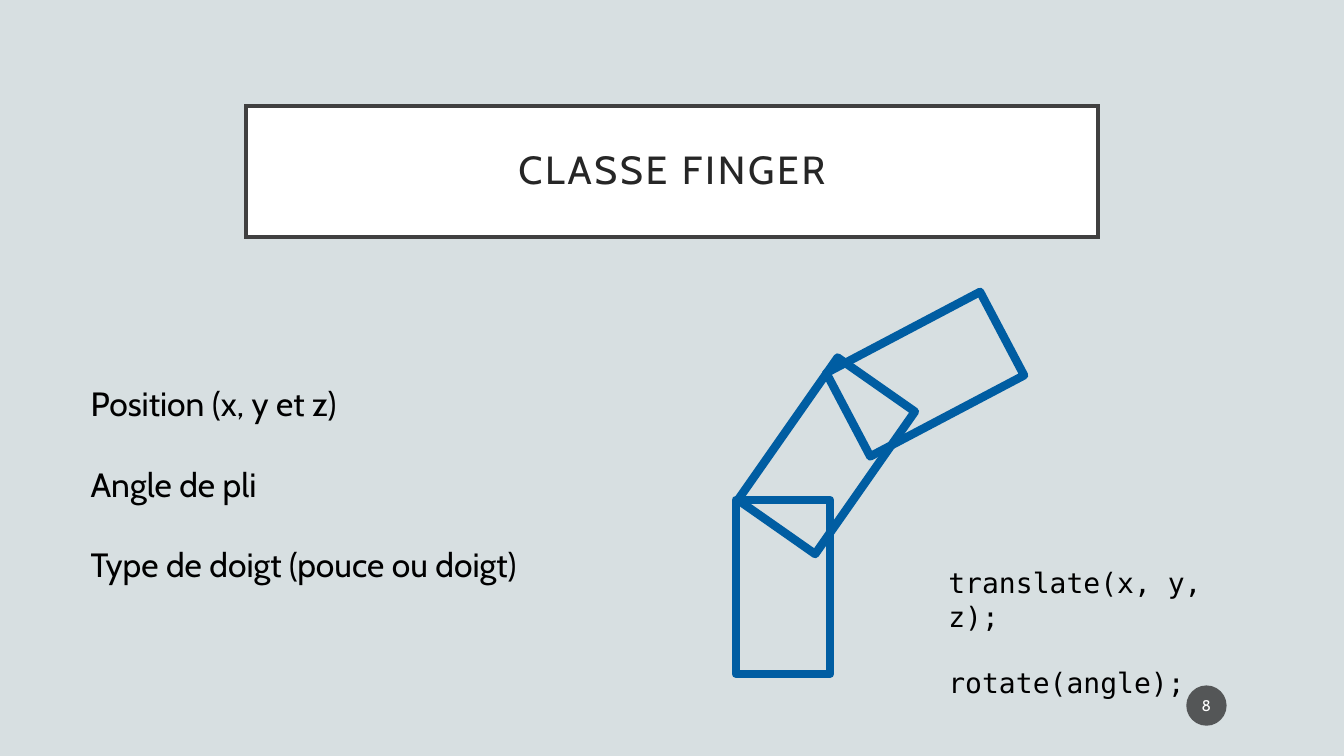
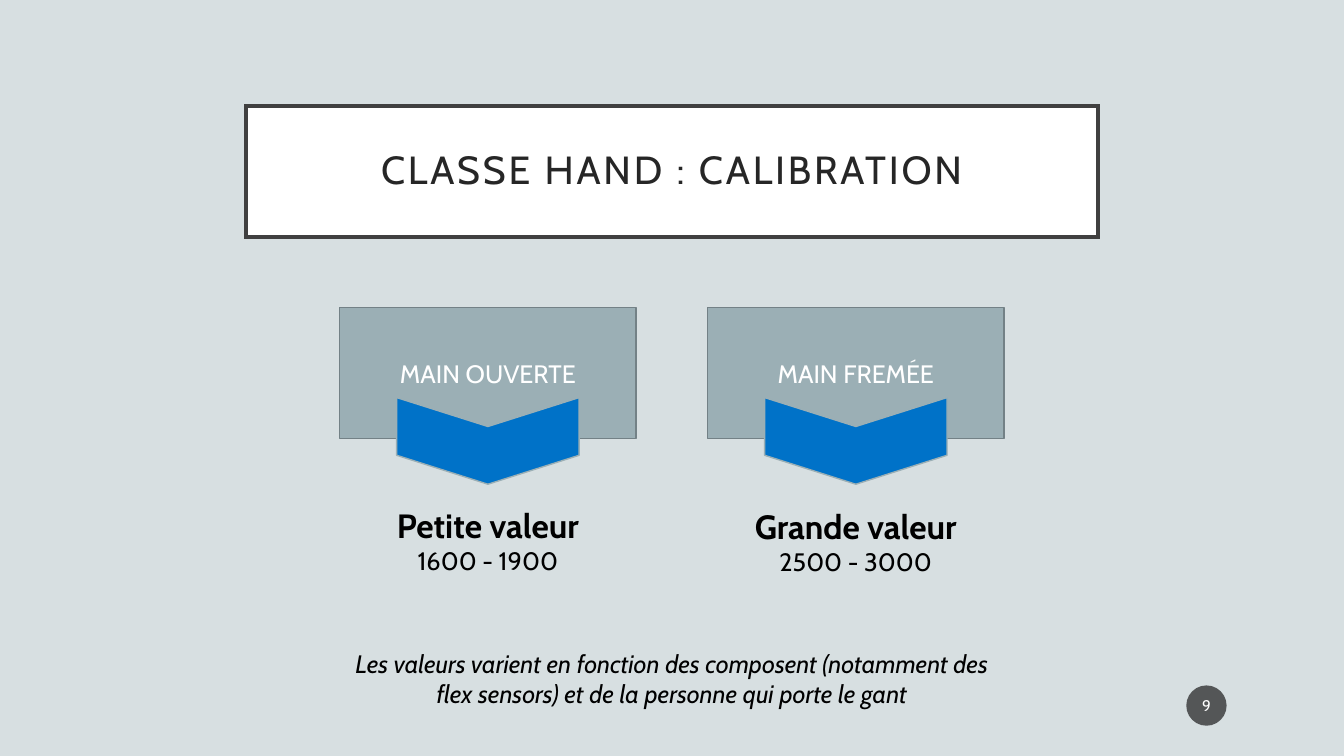
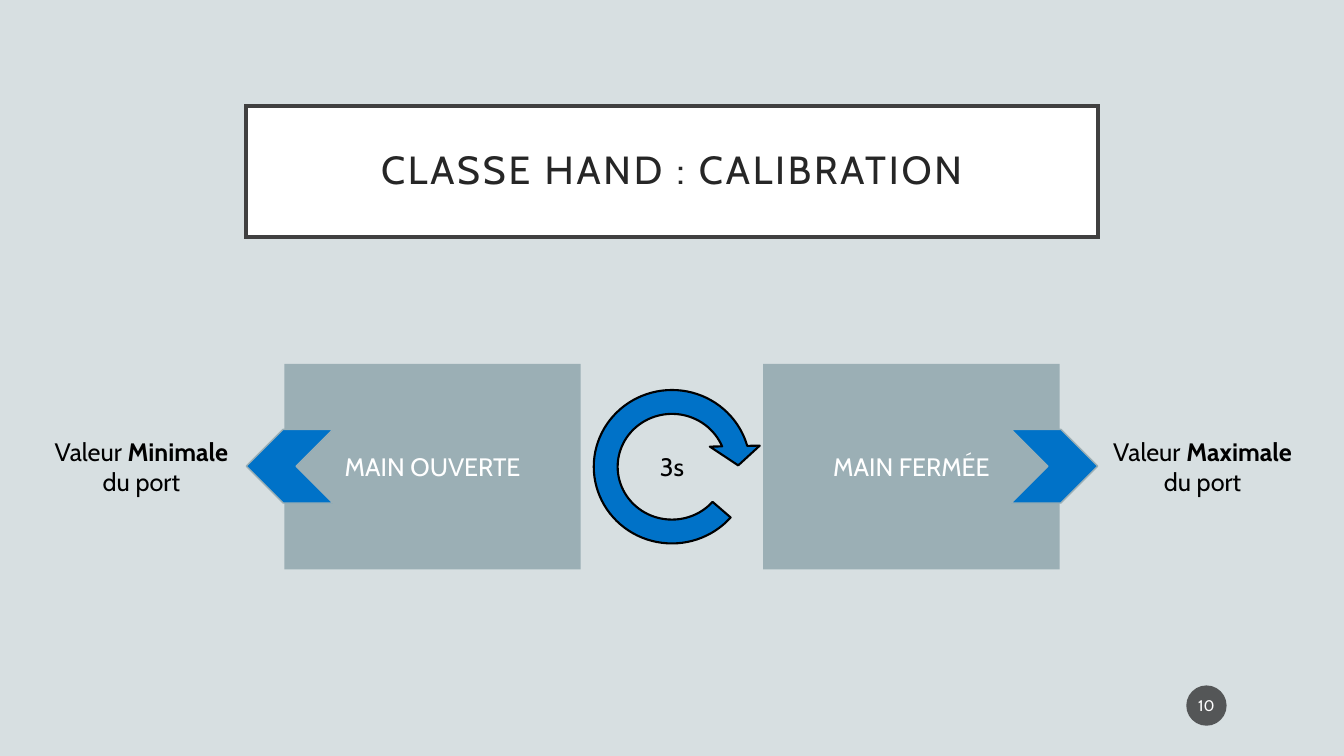
from pptx import Presentation
from pptx.dml.color import RGBColor
from pptx.enum import shapes, text
from pptx.oxml import xmlchemy
from pptx.oxml.ns import qn
from pptx.util import Pt
from lxml import etree

COLORS = {
    "background": "D7DFE1", "white": "FFFFFF", "black": "000000",
    "frame": "404040", "title": "262626", "badge": "1D1D1D",
    "outline": "005DA2", "accent": "0072C8", "card": "9BAFB5", "card_edge": "738186",
}
FONT, CODE_FONT = "Cabin", "DejaVu Sans Mono"
WIDTH, HEIGHT = 960, 540
MIDDLE = WIDTH / 2
CARD_WIDTH = 211.7
KIND = shapes.MSO_SHAPE
CENTER, LEFT = text.PP_ALIGN.CENTER, text.PP_ALIGN.LEFT
BOLD = {"bold": True}

# Each paragraph is a list of (text, font attributes) runs.
PROPERTIES = ["Position (x, y et z)", "Angle de pli", "Type de doigt (pouce ou doigt)"]
CALLS = ["translate(x, y, z);", "rotate(angle);"]
PHALANX_SIZE = (67.4, 124.2)
PHALANGES = [(525.6, 357.1, 0), (556.6, 263.5, 35), (627.1, 205.2, 62.2)]

RANGES = [
    ("MAIN OUVERTE", "Petite valeur", "1600 - 1900", 357.1),
    ("MAIN FREMÉE", "Grande valeur", "2500 - 3000", 357.8),
]
NOTE = ("Les valeurs varient en fonction des composent (notamment des "
        "flex sensors) et de la personne qui porte le gant")

# Side of the middle line, card label, word in bold, chevron rotation.
EXTREMES = [(-1, "MAIN OUVERTE", "Minimale", 180), (1, "MAIN FERMÉE", "Maximale", 0)]
DELAY = "3s"
ARROW_ADJUSTMENTS = [0.133, 10.208, 205.096, 24.509, 0.139]


def color(name):
    return RGBColor.from_string(COLORS[name])


def plain(lines):
    return [[(line, {})] for line in lines]


def write(shape, paragraphs, size=18, ink="black", font=FONT, align=CENTER, gap=0):
    """Fill the shape with paragraphs of runs, gap points apart."""
    frame = shape.text_frame
    frame.word_wrap = True
    for index, runs in enumerate(paragraphs):
        paragraph = frame.add_paragraph() if index else frame.paragraphs[0]
        paragraph.alignment = align
        if index and gap:
            paragraph.space_before = Pt(gap)
        for words, attributes in runs:
            run = paragraph.add_run()
            run.text = words
            run.font.name = font
            run.font.size = Pt(size)
            run.font.color.rgb = color(ink)
            for name, value in attributes.items():
                setattr(run.font, name, value)
    return frame


def add_text(slide, box, paragraphs, **style):
    write(slide.shapes.add_textbox(*map(Pt, box)), paragraphs, **style)


def add_figure(slide, kind, box, fill=None, line=None, weight=1, rotation=0, join=None):
    shape = slide.shapes.add_shape(kind, *map(Pt, box))
    shape.shadow.inherit = False
    shape.rotation = rotation
    if fill:
        shape.fill.solid()
        shape.fill.fore_color.rgb = color(fill)
    else:
        shape.fill.background()
    if line:
        shape.line.color.rgb = color(line)
        shape.line.width = Pt(weight)
        if join:
            etree.SubElement(shape.line._get_or_add_ln(), qn("a:" + join))
    else:
        shape.line.fill.background()
    return shape


def add_card(slide, box, label, line=None):
    card = add_figure(slide, KIND.RECTANGLE, box, "card", line)
    write(card, plain([label]), ink="white").vertical_anchor = text.MSO_ANCHOR.MIDDLE


def add_slide(presentation, title, number):
    """Add a slide with the shared background, framed title and page badge."""
    slide = presentation.slides.add_slide(presentation.slide_layouts[6])
    slide.background.fill.solid()
    slide.background.fill.fore_color.rgb = color("background")

    title_width = 608.4
    box = (MIDDLE - title_width / 2, 75.6, title_width, 93.6)
    banner = add_figure(slide, KIND.RECTANGLE, box, "white", "frame", 2.5, join="miter")
    frame = write(banner, plain([title]), size=28, ink="title")
    frame.vertical_anchor = text.MSO_ANCHOR.MIDDLE
    paragraph = frame.paragraphs[0]
    paragraph.line_spacing = 0.9
    paragraph.runs[0].font._element.set("spc", "200")

    badge = add_figure(slide, KIND.OVAL, (847.4, 489.6, 28.8, 28.8), "badge")
    tint = badge.fill._xPr.find(qn("a:solidFill"))[0]
    etree.SubElement(tint, qn("a:alpha"), val="70000")
    frame = write(badge, plain([str(number)]), size=11, ink="white")
    frame.vertical_anchor = text.MSO_ANCHOR.MIDDLE
    frame.margin_left = frame.margin_right = Pt(1.4)
    return slide


def build_finger(slide):
    add_text(slide, (57.6, 270, 334.8, 152.6), plain(PROPERTIES),
             size=24, align=LEFT, gap=28.8)
    for left, top, rotation in PHALANGES:
        add_figure(slide, KIND.RECTANGLE, (left, top, *PHALANX_SIZE), line="outline",
                   weight=6, rotation=rotation, join="round")
    add_text(slide, (670.3, 400.3, 236.9, 79.9), plain(CALLS),
             size=20, font=CODE_FONT, align=LEFT, gap=23.3)


def build_ranges(slide):
    first_center, pitch = 348.5, 262.8
    chevron_width, chevron_height = 61.9, 130.3
    caption_width = 177.1
    for index, (label, name, values, caption_top) in enumerate(RANGES):
        center = first_center + index * pitch
        add_card(slide, (center - CARD_WIDTH / 2, 219.6, CARD_WIDTH, 93.6),
                 label, "card_edge")
        chevron = add_figure(
            slide, KIND.CHEVRON,
            (center - chevron_width / 2, 249.8, chevron_width, chevron_height),
            "accent", "card", rotation=90)
        chevron.adjustments[0] = 0.334
        caption = [[(name, {"bold": True, "size": Pt(24)})], [(values, {})]]
        add_text(slide, (center - caption_width / 2, caption_top, caption_width, 58.3),
                 caption)
    add_text(slide, (242.6, 459.4, 474.5, 51.1), [[(NOTE, {"italic": True})]])


def build_extremes(slide):
    def mirrored(side, distance, top, width, height):
        """Box whose inner edge lies at a distance from the middle line."""
        left = MIDDLE + distance if side > 0 else MIDDLE - distance - width
        return left, top, width, height

    arrow_width = 130.3
    for side, label, extreme, rotation in EXTREMES:
        add_card(slide, mirrored(side, arrow_width / 2, 259.9, CARD_WIDTH, 146.9), label)
        add_figure(slide, KIND.CHEVRON, mirrored(side, 242.2, 306.7, 61.9, 52.6),
                   "accent", "card", rotation=rotation)
        add_text(slide, mirrored(side, 304.1, 308.2, 149.8, 51.1),
                 [[("Valeur ", {}), (extreme, BOLD), (" du port", {})]])
    arrow = add_figure(slide, KIND.CIRCULAR_ARROW,
                       (MIDDLE - arrow_width / 2, 269.3, arrow_width, 128.2),
                       "accent", "black", 1.5)
    for index, value in enumerate(ARROW_ADJUSTMENTS):
        arrow.adjustments[index] = value
    write(arrow, plain([DELAY])).vertical_anchor = text.MSO_ANCHOR.MIDDLE


SLIDES = [
    ("CLASSE FINGER", build_finger),
    ("CLASSE HAND : CALIBRATION", build_ranges),
    ("CLASSE HAND : CALIBRATION", build_extremes),
]


def main():
    presentation = Presentation()
    presentation.slide_width, presentation.slide_height = Pt(WIDTH), Pt(HEIGHT)
    for number, (title, build) in enumerate(SLIDES, start=8):
        build(add_slide(presentation, title, number))
    presentation.save("out.pptx")


if __name__ == "__main__":
    main()
